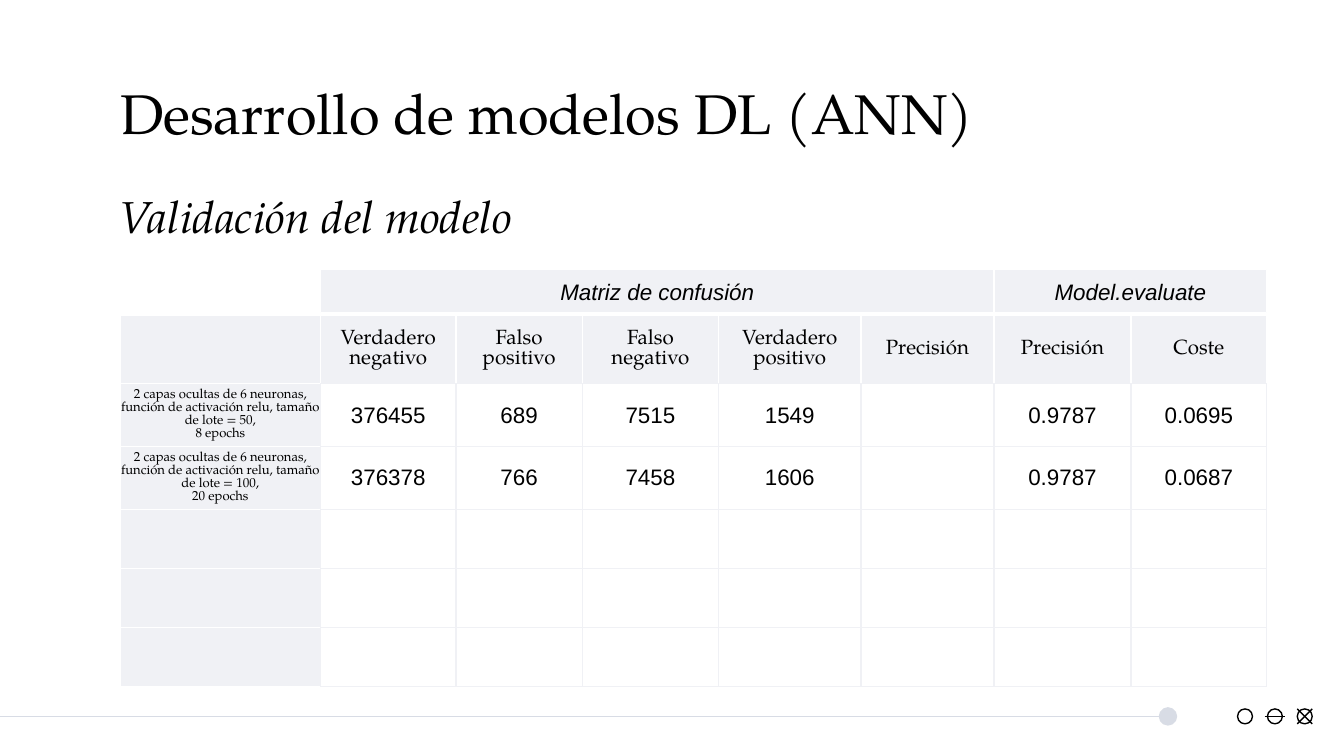
import pptx
import pptx.util
import pptx.dml.color
import pptx.enum.shapes
import pptx.enum.text
import pptx.oxml.ns
import lxml.etree

Pt = pptx.util.Pt
RGB = pptx.dml.color.RGBColor
SHAPE = pptx.enum.shapes.MSO_SHAPE
ANCHOR = pptx.enum.text.MSO_ANCHOR
ALIGN = pptx.enum.text.PP_ALIGN
qn = pptx.oxml.ns.qn

BLACK = RGB(0x00, 0x00, 0x00)
WHITE = RGB(0xFF, 0xFF, 0xFF)
PALE = RGB(0xF0, 0xF1, 0xF5)
RULE = RGB(0xD8, 0xDC, 0xE5)
SERIF, SANS = "TeX Gyre Pagella", "Arial"

TITLE = "Desarrollo de modelos DL (ANN)"
SUBTITLE = "Validación del modelo"
GROUPS = [("Matriz de confusión", 1, 5), ("Model.evaluate", 6, 7)]
ROWS = [
    ["", "Verdadero negativo", "Falso positivo", "Falso negativo",
     "Verdadero positivo", "Precisión", "Precisión", "Coste"],
    ["2 capas ocultas de 6 neuronas,\nfunción de activación relu, tamaño de lote = 50,\n8 epochs",
     "376455", "689", "7515", "1549", "", "0.9787", "0.0695"],
    ["2 capas ocultas de 6 neuronas,\nfunción de activación relu, tamaño de lote = 100,\n20 epochs",
     "376378", "766", "7458", "1606", "", "0.9787", "0.0687"],
    [""] * 8,
    [""] * 8,
    [""] * 8,
]
COLS = [107.5, 72.5, 67.7, 73, 76.3, 71.3, 73.4, 72.7]
HEIGHTS = [34] + [31.7] * 5
LEFT, TOP = 64.3, 169.2
FOOT_Y, ICON = 383.8, 8


def write(tf, text, size, font, italic=False, align=ALIGN.LEFT):
    tf.text = text
    for p in tf.paragraphs:
        p.alignment = align
        p.font.size = Pt(size)
        for r in p.runs:
            r.font.size, r.font.name, r.font.italic = Pt(size), font, italic
            r.font.color.rgb = BLACK


def frame(tf, anchor):
    tf.word_wrap = True
    tf.vertical_anchor = anchor
    tf.margin_left = tf.margin_right = tf.margin_top = tf.margin_bottom = Pt(7.2)


def line(shapes, x1, y1, x2, y2, color=BLACK):
    sp = shapes.add_connector(pptx.enum.shapes.MSO_CONNECTOR.STRAIGHT,
                              Pt(x1), Pt(y1), Pt(x2), Pt(y2))
    sp.line.color.rgb, sp.line.width = color, Pt(0.75)
    lxml.etree.SubElement(sp._element.spPr, qn("a:effectLst"))
    return sp


def shape(shapes, kind, x, y, w, h, fill, color):
    sp = shapes.add_shape(kind, Pt(x), Pt(y), Pt(w), Pt(h))
    sp.shadow.inherit = False
    if fill is None:
        sp.fill.background()
    else:
        sp.fill.solid()
        sp.fill.fore_color.rgb = fill
    sp.line.color.rgb, sp.line.width = color, Pt(0.75)
    return sp


def borders(cell, colors):
    tcPr = cell._tc.get_or_add_tcPr()
    for i, (side, color) in enumerate(zip("LRTB", colors)):
        ln = lxml.etree.Element(qn("a:ln" + side), w=str(Pt(0.75)))
        fill = lxml.etree.SubElement(ln, qn("a:solidFill"))
        lxml.etree.SubElement(fill, qn("a:srgbClr"), val=str(color))
        tcPr.insert(i, ln)


def cell_style(row, col):
    if row == 0:
        return 11, SERIF, PALE, (WHITE, WHITE, WHITE, PALE if col else WHITE)
    if col == 0:
        return 7, SERIF, PALE, (WHITE, PALE, WHITE, WHITE)
    return 12, SANS, WHITE, (PALE,) * 4


prs = pptx.Presentation()
prs.slide_width, prs.slide_height = Pt(720), Pt(405)
s = prs.slides.add_slide(prs.slide_layouts[5])

end = line(s.shapes, 0, FOOT_Y, 625.7, FOOT_Y, RULE)
lxml.etree.SubElement(end.line._get_or_add_ln(), qn("a:tailEnd"), type="oval", w="lg", len="lg")

icons = s.shapes.add_group_shape().shapes
for x in (663, 679, 695):
    shape(icons, SHAPE.OVAL, x, FOOT_Y - ICON / 2, ICON, ICON, None, BLACK)
line(icons, 677.5, FOOT_Y, 688.5, FOOT_Y)
for dy in (ICON / 2, -ICON / 2):
    line(icons, 695, FOOT_Y + dy, 695 + ICON, FOOT_Y - dy)

title = s.shapes.title
title.left, title.top, title.width, title.height = Pt(57.1), Pt(35), Pt(607), Pt(45.4)
frame(title.text_frame, ANCHOR.TOP)
title.text_frame.auto_size = pptx.enum.text.MSO_AUTO_SIZE.NONE
write(title.text_frame, TITLE, 30, SERIF)

sub = s.shapes.add_textbox(Pt(57.1), Pt(93), Pt(406), Pt(44))
frame(sub.text_frame, ANCHOR.BOTTOM)
write(sub.text_frame, SUBTITLE, 24, SERIF, italic=True)

table = s.shapes.add_table(len(ROWS), len(COLS), Pt(LEFT), Pt(TOP),
                           Pt(sum(COLS)), Pt(sum(HEIGHTS))).table
table.first_row = table.horz_banding = False
for column, width in zip(table.columns, COLS):
    column.width = Pt(width)
for i, (texts, height) in enumerate(zip(ROWS, HEIGHTS)):
    table.rows[i].height = Pt(height)
    for j, text in enumerate(texts):
        cell = table.cell(i, j)
        size, font, fill, edges = cell_style(i, j)
        cell.vertical_anchor = ANCHOR.MIDDLE
        cell.margin_left = cell.margin_right = Pt(0 if i else 7.2)
        cell.margin_top = cell.margin_bottom = Pt(0 if i else 5)
        write(cell.text_frame, text, size, font, align=ALIGN.CENTER)
        cell.fill.solid()
        cell.fill.fore_color.rgb = fill
        borders(cell, edges)

for text, first, last in GROUPS:
    x = LEFT + sum(COLS[:first])
    sp = shape(s.shapes, SHAPE.RECTANGLE, x, 144.3, sum(COLS[first:last + 1]), 23.3, PALE, WHITE)
    frame(sp.text_frame, ANCHOR.MIDDLE)
    write(sp.text_frame, text, 12, SANS, italic=True, align=ALIGN.CENTER)

prs.save("out.pptx")
